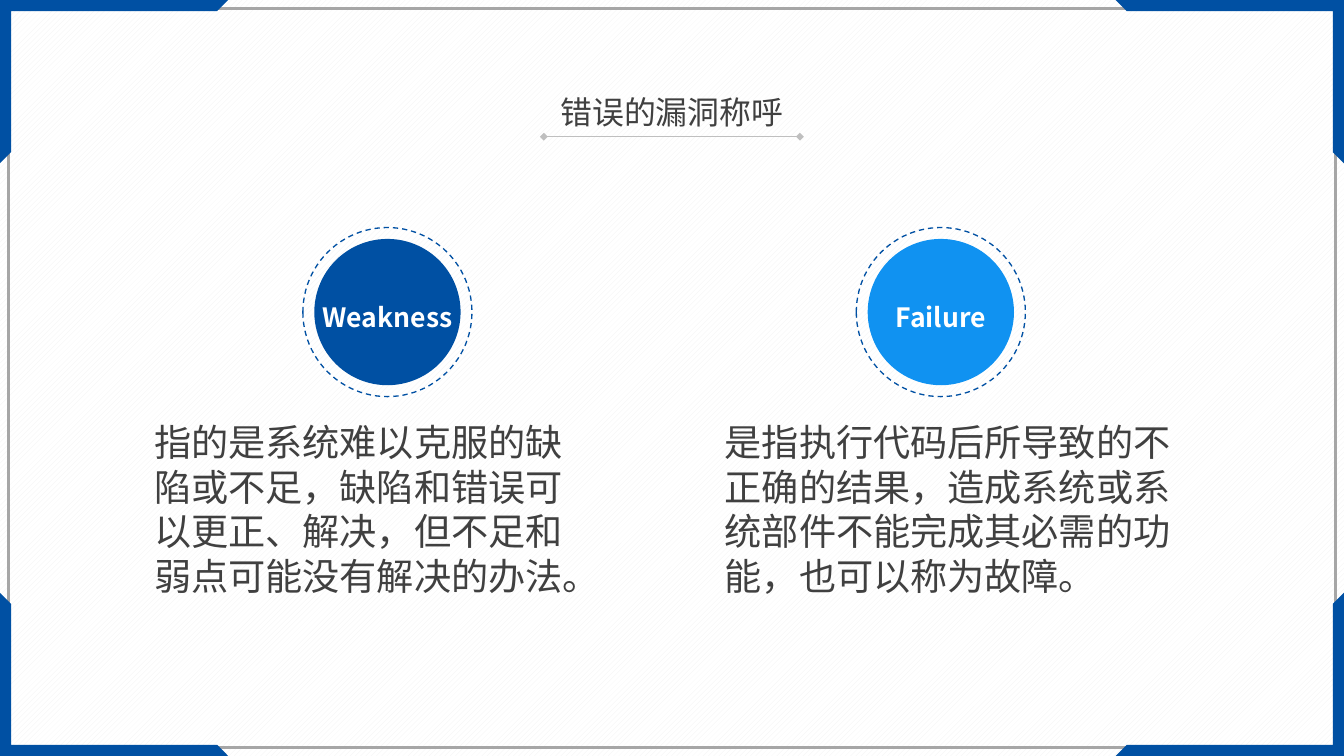
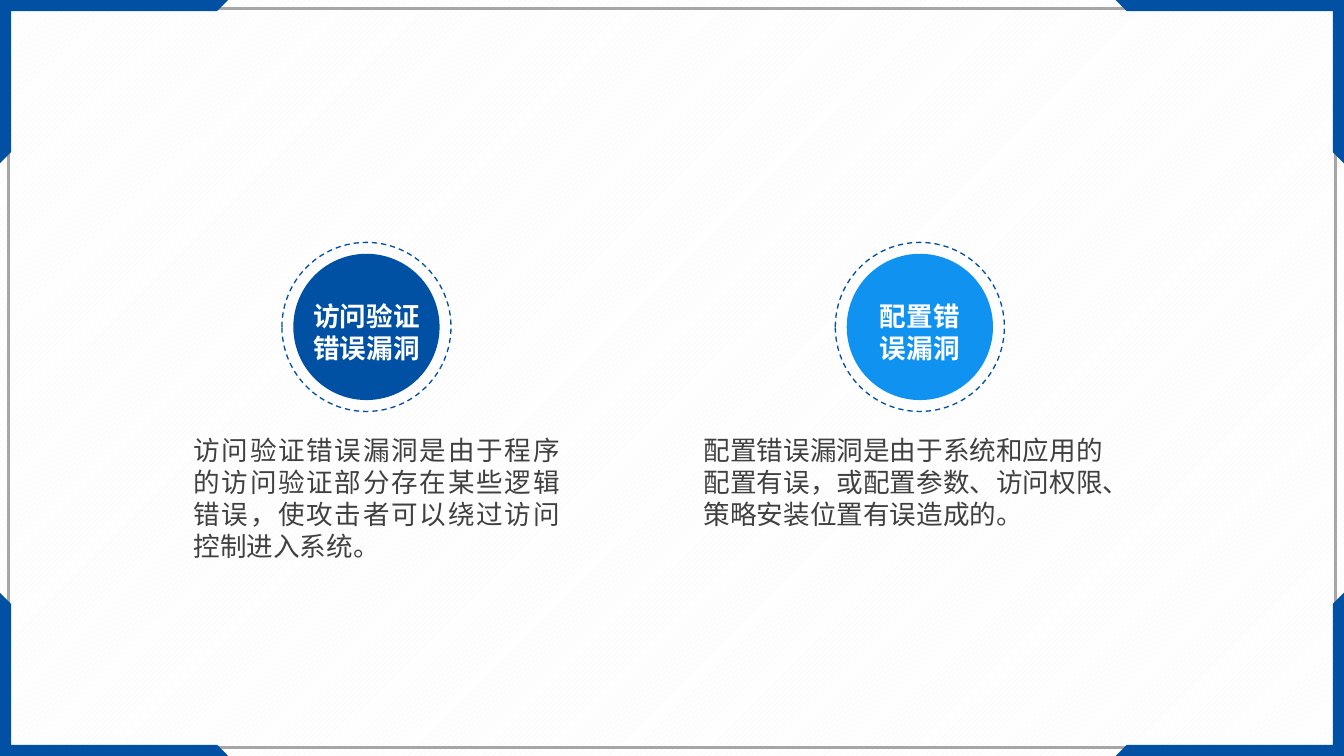
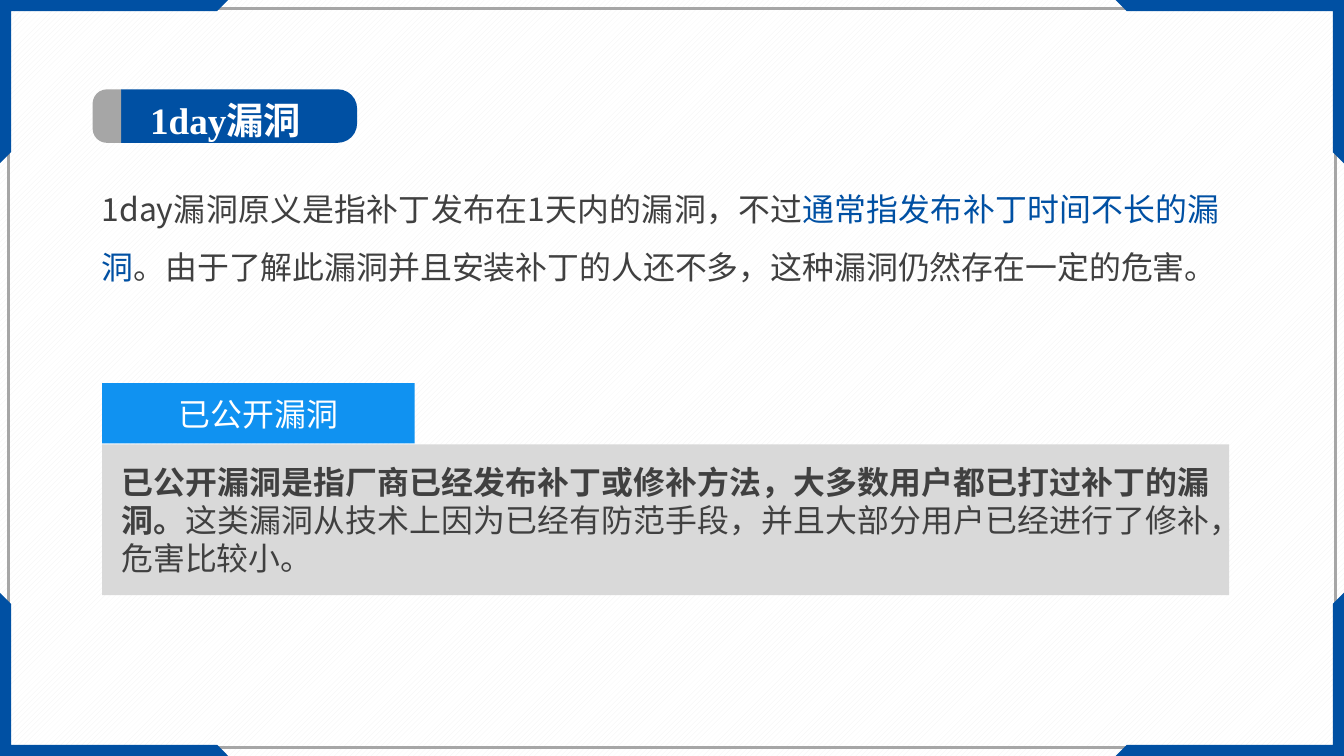
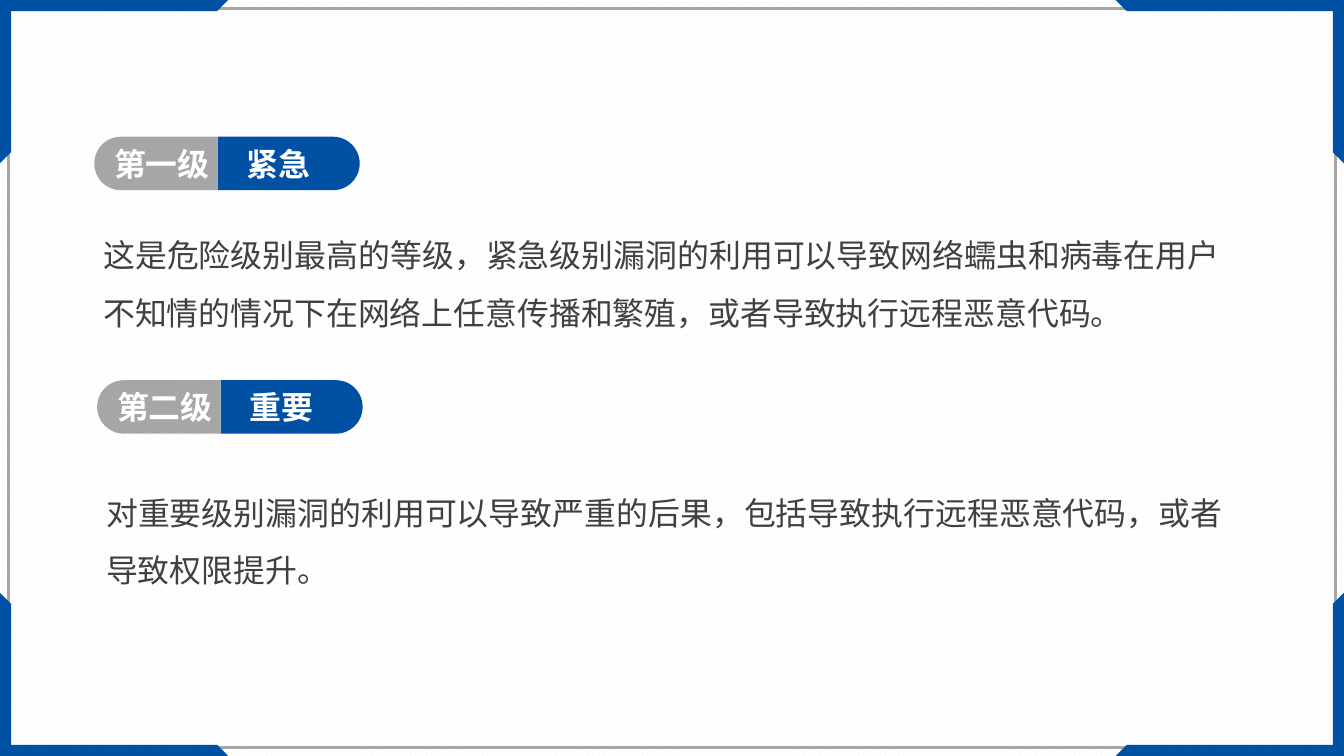
from dataclasses import dataclass

from lxml import etree
from pptx import Presentation
from pptx import util as u
from pptx.dml.color import RGBColor
from pptx.enum import dml, shapes, text
from pptx.oxml.ns import qn

Pt = u.Pt
SHAPE = shapes.MSO_SHAPE
ALIGN = text.PP_ALIGN
ANCHOR = text.MSO_ANCHOR


@dataclass(frozen=True)
class Theme:
    width: float = 1012.5
    height: float = 569.5
    navy: str = "0050A3"
    sky: str = "1092F1"
    ink: str = "404040"
    grey: str = "A6A6A6"
    rule: str = "BFBFBF"
    panel: str = "D9D9D9"
    hatch: str = "F2F2F2"
    white: str = "FFFFFF"
    sans: str = "Noto Sans CJK SC"
    serif: str = "Times New Roman"
    latin: str = "Arial"
    small: int = 20
    medium: int = 24
    large: int = 28


T = Theme()
BODY_INSET = (6.8, 3.4)


def rgb(value):
    return RGBColor.from_string(value)


def write(sp, runs, size, color=T.ink, font=T.sans, bold=False, align=ALIGN.LEFT,
          anchor=ANCHOR.TOP, inset=(7.2, 3.6), spacing=None):
    tf = sp.text_frame
    tf.word_wrap = True
    tf.vertical_anchor = anchor
    tf.margin_left = tf.margin_right = Pt(inset[0])
    tf.margin_top = tf.margin_bottom = Pt(inset[1])
    p = tf.paragraphs[0]
    p.alignment = align
    if spacing:
        p.line_spacing = spacing
    f = p.font
    f.size = Pt(size)
    f.color.rgb = rgb(color)
    f.name = font
    etree.SubElement(f._rPr, qn("a:ea")).set("typeface", T.sans)
    if bold:
        f.bold = True
    for item in [runs] if isinstance(runs, str) else runs:
        content, run_color, run_bold = (item, None, None) if isinstance(item, str) else item
        r = p.add_run()
        r.text = content
        if run_color:
            r.font.color.rgb = rgb(run_color)
        if run_bold:
            r.font.bold = True


def add_text(s, box, runs, size, **style):
    write(s.shapes.add_textbox(*map(Pt, box)), runs, size, **style)


def paint(sp, fill=None, line=None, weight=1):
    sp.shadow.inherit = False
    if fill:
        sp.fill.solid()
        sp.fill.fore_color.rgb = rgb(fill)
    else:
        sp.fill.background()
    if line:
        sp.line.color.rgb = rgb(line)
        sp.line.width = Pt(weight)
    else:
        sp.line.fill.background()
    return sp


def add_shape(s, kind, box, **look):
    return paint(s.shapes.add_shape(kind, *map(Pt, box)), **look)


def corner(s, right, bottom):
    w, h, t = 172, 123, 8.4
    outline = [(0, 0), (w, 0), (w - t, t), (t, t), (t, h - t), (0, h)]
    points = [(Pt(T.width - x if right else x), Pt(T.height - y if bottom else y))
              for x, y in outline]
    fb = s.shapes.build_freeform(*points[0], scale=1.0)
    fb.add_line_segments(points[1:], close=True)
    paint(fb.convert_to_shape(), fill=T.navy)


def frame(s):
    edge = 6.5
    add_shape(s, SHAPE.RECTANGLE, (edge, edge, T.width - 2 * edge, T.height - 2 * edge),
              line=T.grey, weight=2)
    for right in (False, True):
        for bottom in (False, True):
            corner(s, right, bottom)


def new_slide(prs):
    s = prs.slides.add_slide(prs.slide_layouts[6])
    frame(s)
    return s


def title(s, box, content):
    x, y, w, h = box
    cn = s.shapes.add_connector(shapes.MSO_CONNECTOR.STRAIGHT,
                                Pt(x), Pt(y + h), Pt(x + w), Pt(y + h))
    cn.line.color.rgb = rgb(T.rule)
    cn.line.width = Pt(0.5)
    ln = cn.line._get_or_add_ln()
    for end in ("a:headEnd", "a:tailEnd"):
        etree.SubElement(ln, qn(end)).set("type", "diamond")
    etree.SubElement(cn._element.spPr, qn("a:effectLst"))
    add_text(s, (x, y, w, h), content, T.medium, align=ALIGN.CENTER)


def badge(s, box, label, label_w, color):
    x, y, d, _ = box
    gap, label_h, drop = 8.6, 56, 3.4
    ring = add_shape(s, SHAPE.OVAL, box, line=T.navy)
    ring.line.dash_style = dml.MSO_LINE.DASH
    add_shape(s, SHAPE.OVAL, (x + gap, y + gap, d - 2 * gap, d - 2 * gap), fill=color)
    add_text(s, (x + (d - label_w) / 2, y + (d - label_h) / 2 + drop, label_w, label_h),
             label, T.small, color=T.white, bold=True, align=ALIGN.CENTER,
             anchor=ANCHOR.MIDDLE)


def concepts(s, x, y, size, columns):
    ring, step = 127.4, 416.9
    for i, (label, label_w, body_x, body_w, body, align) in enumerate(columns):
        badge(s, (x + i * step, y, ring, ring), label, label_w, (T.navy, T.sky)[i])
        add_text(s, (body_x, y + 141, body_w, 143), body, size, align=align,
                 inset=BODY_INSET)


def half_pill(s, box, rotation, rounding, color):
    x, y, w, h = box
    sp = add_shape(s, SHAPE.ROUND_2_SAME_RECTANGLE,
                   (x + (w - h) / 2, y + (h - w) / 2, h, w), fill=color)
    sp.rotation = rotation
    sp.adjustments[0] = rounding
    sp.adjustments[1] = 0


def pill(s, box, tag_w, heading, size, tag=None, rounding=0.5):
    x, y, w, h = box
    split = x + tag_w
    style = dict(color=T.white, font=T.serif, bold=True, inset=(10.8, 5.8))
    half_pill(s, (split, y, w - tag_w, h), 90, rounding, T.navy)
    half_pill(s, (x, y, tag_w, h), 270, 0.5, T.grey)
    add_text(s, (split + 11, y, w - tag_w, h), heading, size, **style)
    if tag:
        add_text(s, (x + 2.5, y, tag_w + 4, h), tag, size, align=ALIGN.CENTER, **style)


def section(s, box, pill_w, tag_w, heading, size, body, body_gap, **pill_style):
    x, y, w, h = box
    pill(s, (x, y, pill_w, 40.3), tag_w, heading, size, **pill_style)
    add_text(s, (x, y + body_gap, w, h - body_gap), body, T.medium,
             align=ALIGN.JUSTIFY, inset=BODY_INSET, spacing=1.5)


def tabbed_panel(s, box, heading, body):
    x, y, w, h = box
    tab_w, tab_h = 235.4, 45.4
    panel = add_shape(s, SHAPE.RECTANGLE, (x, y + tab_h + 0.7, w, h - tab_h - 0.7),
                      fill=T.panel)
    write(panel, body, T.medium, font=T.latin, align=ALIGN.JUSTIFY,
          anchor=ANCHOR.MIDDLE, inset=(14.4, 3.6))
    tab = add_shape(s, SHAPE.RECTANGLE, (x, y, tab_w, tab_h), fill=T.sky)
    write(tab, heading, T.medium, color=T.white, font=T.latin, align=ALIGN.CENTER,
          anchor=ANCHOR.MIDDLE)


def naming_slide(prs):
    s = new_slide(prs)
    title(s, (409.7, 66.2, 193, 36.8), "错误的漏洞称呼")
    concepts(s, 228.2, 171.4, T.large, [
        ("Weakness", 142, 109.4, 334.8,
         "指的是系统难以克服的缺陷或不足，缺陷和错误可以更正、解决，但不足和弱点可能没有解决的办法。",
         ALIGN.LEFT),
        ("Failure", 142, 539.3, 363.6,
         "是指执行代码后所导致的不正确的结果，造成系统或系统部件不能完成其必需的功能，也可以称为故障。",
         ALIGN.LEFT),
    ])


def error_types_slide(prs):
    s = new_slide(prs)
    concepts(s, 212.4, 182.6, T.small, [
        ("访问验证错误漏洞", 110, 139, 289.4,
         "访问验证错误漏洞是由于程序的访问验证部分存在某些逻辑错误，使攻击者可以绕过访问控制进入系统。",
         ALIGN.JUSTIFY),
        ("配置错误漏洞", 89.3, 523.4, 317.5,
         "配置错误漏洞是由于系统和应用的配置有误，或配置参数、访问权限、策略安装位置有误造成的。",
         ALIGN.LEFT),
    ])


def one_day_slide(prs):
    s = new_slide(prs)
    section(s, (69.8, 67.3, 856, 190), 199.2, 21.5, "1day漏洞", T.large, [
        "1day漏洞原义是指补丁发布在1天内的漏洞，不过",
        ("通常指发布补丁时间不长的漏洞", T.navy, False),
        "。由于了解此漏洞并且安装补丁的人还不多，这种漏洞仍然存在一定的危害。",
    ], 58, rounding=0.36)
    tabbed_panel(s, (77, 288.7, 849, 159.7), "已公开漏洞", [
        ("已公开漏洞是指厂商已经发布补丁或修补方法，大多数用户都已打过补丁的漏洞。", None, True),
        "这类漏洞从技术上因为已经有防范手段，并且大部分用户已经进行了修补，危害比较小。",
    ])


def levels_slide(prs):
    s = new_slide(prs)
    levels = [
        (71, 103, 57, "第一级", "紧急",
         "这是危险级别最高的等级，紧急级别漏洞的利用可以导致网络蠕虫和病毒在用户不知情的情况下在网络上任意传播和繁殖，或者导致执行远程恶意代码。"),
        (73.2, 286.4, 67.8, "第二级", "重要",
         "对重要级别漏洞的利用可以导致严重的后果，包括导致执行远程恶意代码，或者导致权限提升。"),
    ]
    for x, y, gap, tag, heading, body in levels:
        section(s, (x, y, 854.6, gap + 89.3), 200, 93, heading, T.medium, body, gap, tag=tag)


def main():
    prs = Presentation()
    prs.slide_width, prs.slide_height = Pt(T.width), Pt(T.height)
    fill = prs.slide_master.background.fill
    fill.patterned()
    fill.pattern = dml.MSO_PATTERN.WIDE_UPWARD_DIAGONAL
    fill.fore_color.rgb = rgb(T.hatch)
    fill.back_color.rgb = rgb(T.white)
    for build in (naming_slide, error_types_slide, one_day_slide, levels_slide):
        build(prs)
    prs.save("out.pptx")


if __name__ == "__main__":
    main()
